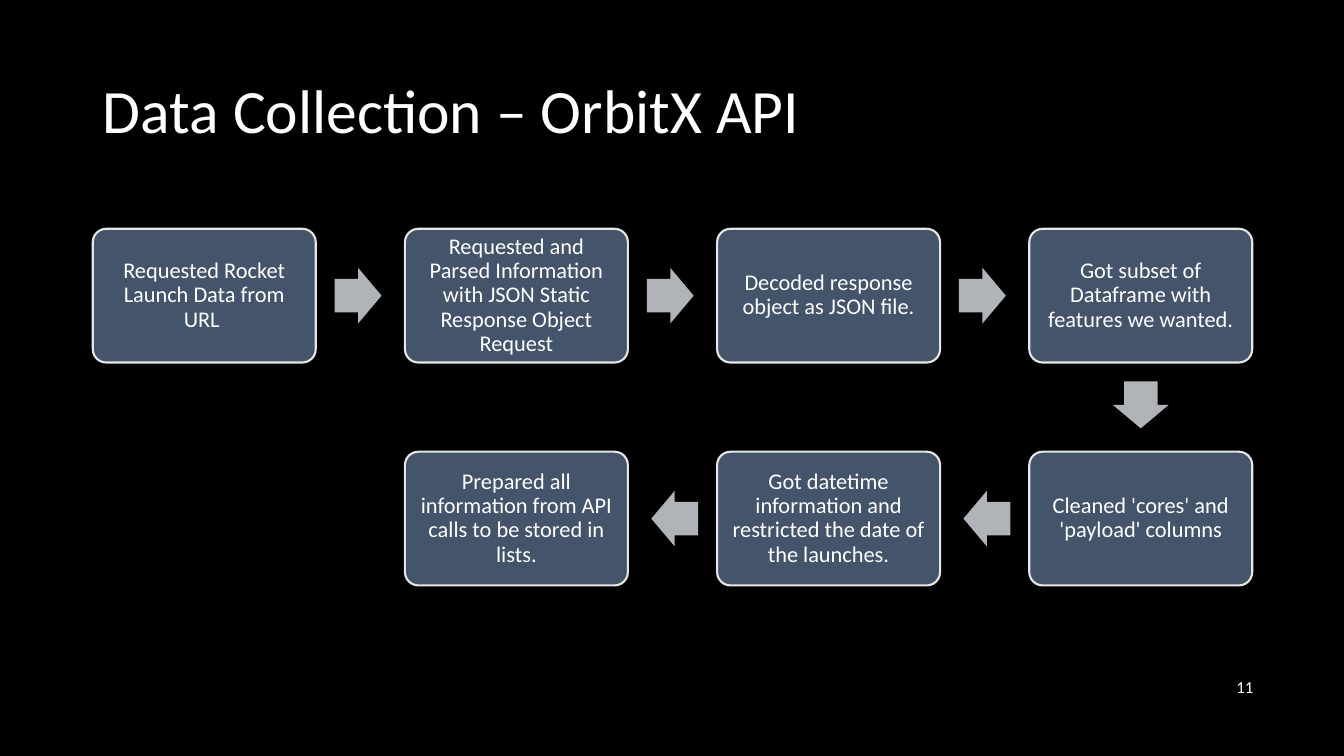
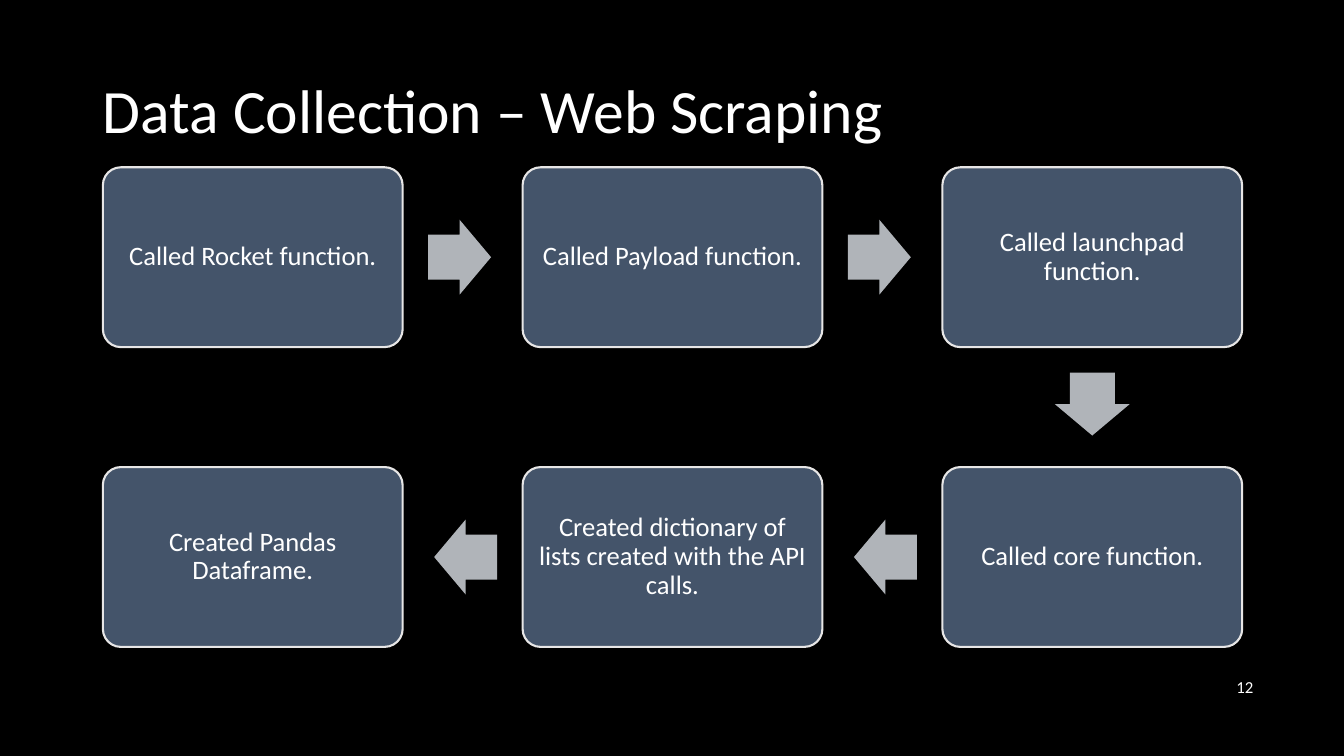
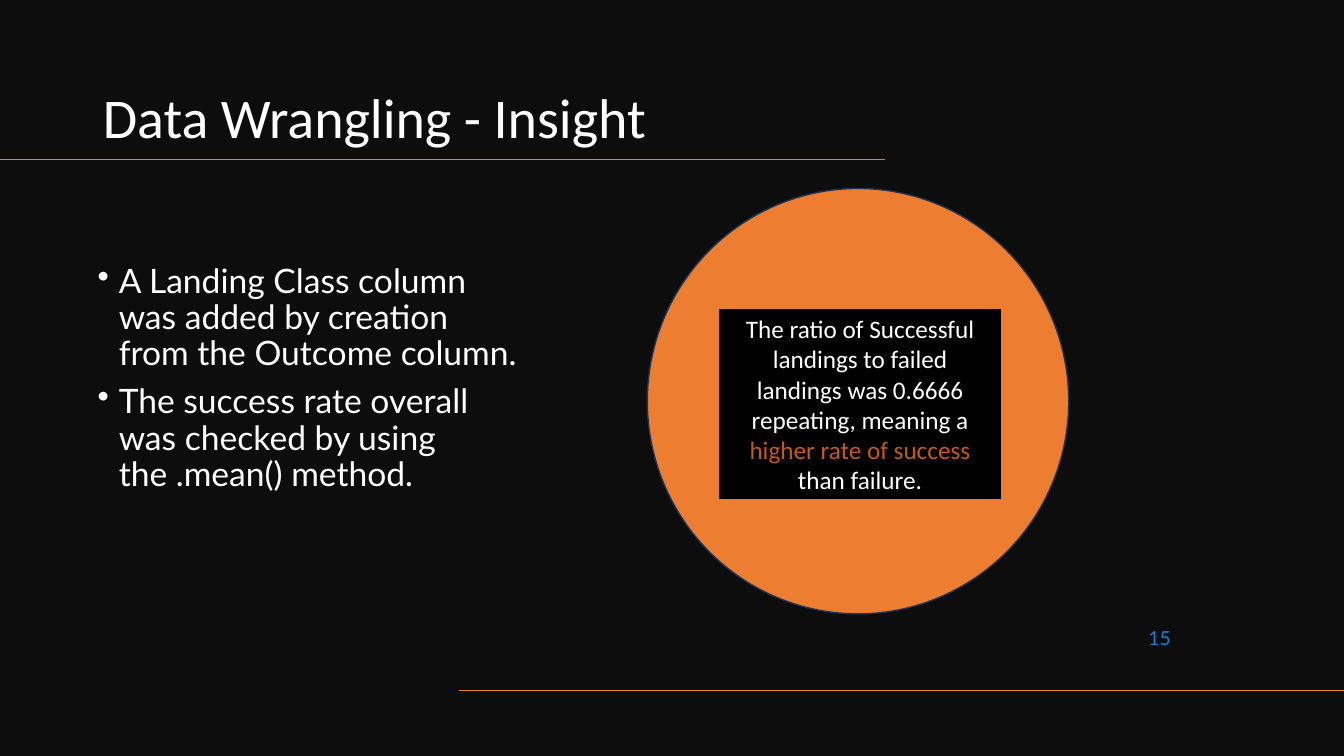
import dataclasses

import lxml.etree
import pptx
import pptx.dml.color
import pptx.enum.shapes
import pptx.enum.text
import pptx.oxml.ns
import pptx.util

Inches = pptx.util.Inches
Pt = pptx.util.Pt
SHAPE = pptx.enum.shapes.MSO_SHAPE
ANCHOR = pptx.enum.text.MSO_ANCHOR
ALIGN = pptx.enum.text.PP_ALIGN


@dataclasses.dataclass(frozen=True)
class Theme:
    black: str = "000000"
    charcoal: str = "0D0D0D"
    white: str = "FFFFFF"
    slate: str = "44546A"
    outline: str = "E7E6E6"
    arrow: str = "B0B4B9"
    orange: str = "ED7D31"
    highlight: str = "C55A11"
    navy: str = "1E3256"
    blue: str = "1C7DDB"
    font: str = "Calibri"
    body_font: str = "Lato"
    title_size: float = 44
    insight_title_size: float = 40
    body_size: float = 24
    callout_size: float = 18
    number_size: float = 12
    insight_number_size: float = 13.8
    line_spacing: float = 0.9


@dataclasses.dataclass(frozen=True)
class Box:
    left: float
    top: float
    width: float
    height: float

    def lengths(self):
        return [Inches(value) for value in dataclasses.astuple(self)]


THEME = Theme()


def rgb(color):
    return pptx.dml.color.RGBColor.from_string(color)


def style_paragraph(paragraph, size, color=THEME.white, font=THEME.font,
                    align=ALIGN.LEFT, spacing=THEME.line_spacing):
    paragraph.alignment = align
    paragraph.line_spacing = spacing
    for run in paragraph.runs:
        run.font.name = font
        run.font.size = Pt(size)
        run.font.color.rgb = rgb(color)


def add_panel(slide, kind, box, fill, line=None, line_width=1):
    shape = slide.shapes.add_shape(kind, *box.lengths())
    shape.shadow.inherit = False
    shape.fill.solid()
    shape.fill.fore_color.rgb = rgb(fill)
    if line:
        shape.line.color.rgb = rgb(line)
        shape.line.width = Pt(line_width)
    else:
        shape.line.fill.background()
    return shape


def add_text_box(slide, box, anchor=ANCHOR.TOP):
    frame = slide.shapes.add_textbox(*box.lengths()).text_frame
    frame.word_wrap = True
    frame.vertical_anchor = anchor
    return frame


def add_rule(slide, left, right, top):
    rule = slide.shapes.add_connector(
        pptx.enum.shapes.MSO_CONNECTOR.STRAIGHT,
        Inches(left), Inches(top), Inches(right), Inches(top))
    rule.line.color.rgb = rgb(THEME.orange)
    rule.line.width = Pt(1)
    lxml.etree.SubElement(rule._element.spPr, pptx.oxml.ns.qn("a:effectLst"))


def add_titled_slide(presentation, background, title, box, size, anchor):
    slide = presentation.slides.add_slide(presentation.slide_layouts[5])
    slide.background.fill.solid()
    slide.background.fill.fore_color.rgb = rgb(background)
    placeholder = slide.shapes.title
    placeholder.left, placeholder.top, placeholder.width, placeholder.height = box.lengths()
    frame = placeholder.text_frame
    frame.text = title
    frame.word_wrap = True
    frame.auto_size = pptx.enum.text.MSO_AUTO_SIZE.NONE
    frame.vertical_anchor = anchor
    style_paragraph(frame.paragraphs[0], size)
    return slide


def add_slide_number(slide, number, box, size, color=THEME.white, font=THEME.font):
    frame = add_text_box(slide, box, ANCHOR.MIDDLE)
    frame.text = str(number)
    style_paragraph(frame.paragraphs[0], size, color, font, ALIGN.RIGHT, 1)


def add_step(slide, box, text, size, margin):
    step = add_panel(slide, SHAPE.ROUNDED_RECTANGLE, box, THEME.slate, THEME.outline, 1.5)
    step.adjustments[0] = 0.1
    frame = step.text_frame
    frame.text = text
    frame.word_wrap = True
    frame.vertical_anchor = ANCHOR.MIDDLE
    frame.margin_left = frame.margin_right = Inches(margin)
    frame.margin_top = frame.margin_bottom = Inches(margin)
    style_paragraph(frame.paragraphs[0], size, align=ALIGN.CENTER)


def add_step_arrow(slide, step, column_change):
    length, breadth = 0.21 * step.width, 0.25 * step.width
    reach = 0.19 * step.width
    center_x = step.left + step.width / 2 + column_change * (step.width / 2 + reach)
    center_y = step.top + step.height / 2
    if column_change == 0:
        center_y += step.height / 2 + reach
    box = Box(center_x - length / 2, center_y - breadth / 2, length, breadth)
    arrow = add_panel(slide, SHAPE.RIGHT_ARROW, box, THEME.arrow)
    arrow.adjustments[0] = 0.6
    arrow.adjustments[1] = 0.5
    arrow.rotation = 90 * (1 - column_change)


def add_snake_flow(slide, left, top, width, columns, steps, size, margin):
    step_width = width / (1.4 * columns - 0.4)
    cells = []
    for index in range(len(steps)):
        row, position = divmod(index, columns)
        cells.append((row, columns - 1 - position if row % 2 else position))
    for index, (row, column) in enumerate(cells):
        box = Box(left + 1.4 * step_width * column, top + step_width * row,
                  step_width, 0.6 * step_width)
        add_step(slide, box, steps[index], size, margin)
        if index + 1 < len(cells):
            add_step_arrow(slide, box, cells[index + 1][1] - column)


def add_flow_slide(presentation, title, number, **flow):
    slide = add_titled_slide(presentation, THEME.black, title, Box(0.92, 0.4, 11.5, 1.45),
                             THEME.title_size, ANCHOR.MIDDLE)
    add_slide_number(slide, number, Box(9.53, 6.59, 3, 0.44), THEME.number_size)
    add_snake_flow(slide, **flow)


def add_bullets(slide, box, texts):
    frame = add_text_box(slide, box)
    for index, text in enumerate(texts):
        paragraph = frame.add_paragraph() if index else frame.paragraphs[0]
        paragraph.text = text
        properties = paragraph._p.get_or_add_pPr()
        properties.set("marL", str(Inches(0.21)))
        properties.set("indent", str(-Inches(0.21)))
        bullet = lxml.etree.SubElement(properties, pptx.oxml.ns.qn("a:buChar"))
        bullet.set("char", "•")
        style_paragraph(paragraph, THEME.body_size, font=THEME.body_font)
        if index:
            paragraph.space_before = Pt(8.6)


def add_callout(slide, box, parts):
    add_panel(slide, SHAPE.FLOWCHART_CONNECTOR, box, THEME.orange, THEME.navy)
    label_box = Box(box.left + 0.7, box.top + 1.18, 2.82, 1.92)
    label = add_panel(slide, SHAPE.RECTANGLE, label_box, THEME.black, THEME.orange, 2.25)
    label.text_frame.word_wrap = True
    paragraph = label.text_frame.paragraphs[0]
    for text, color in parts:
        paragraph.add_run().text = text
    style_paragraph(paragraph, THEME.callout_size, align=ALIGN.CENTER, spacing=1)
    for run, (text, color) in zip(paragraph.runs, parts):
        run.font.color.rgb = rgb(color)


def add_insight_slide(presentation, title, number, bullets, callout):
    slide = add_titled_slide(presentation, THEME.charcoal, title, Box(0.92, 0.42, 7.86, 1.12),
                             THEME.insight_title_size, ANCHOR.BOTTOM)
    add_rule(slide, 0, 8.78, 1.58)
    add_rule(slide, 4.55, 13.33, 6.85)
    add_slide_number(slide, number, Box(9.12, 6.14, 2.59, 0.38),
                     THEME.insight_number_size, THEME.blue, THEME.body_font)
    add_bullets(slide, Box(0.87, 2.57, 4.42, 2.82), bullets)
    add_callout(slide, Box(6.42, 1.87, 4.18, 4.22), callout)


def main():
    presentation = pptx.Presentation()
    presentation.slide_width = Inches(13.33)
    presentation.slide_height = Inches(7.5)
    add_flow_slide(
        presentation, "Data Collection – OrbitX API", 11,
        left=0.92, top=2.27, width=11.5, columns=4, size=16, margin=0.07,
        steps=[
            "Requested Rocket Launch Data from URL ",
            "Requested and Parsed Information with JSON Static Response Object Request",
            "Decoded response object as JSON file.",
            "Got subset of Dataframe with features we wanted.",
            "Cleaned 'cores' and 'payload' columns",
            "Got datetime information and restricted the date of the launches.",
            "Prepared all information from API calls to be stored in lists.",
        ])
    add_flow_slide(
        presentation, "Data Collection – Web Scraping", 12,
        left=1.02, top=1.66, width=11.3, columns=3, size=19, margin=0.08,
        steps=[
            "Called Rocket function.",
            "Called Payload function.",
            "Called launchpad function.",
            "Called core function.",
            "Created dictionary of lists created with the API calls.",
            "Created Pandas Dataframe.",
        ])
    add_insight_slide(
        presentation, "Data Wrangling - Insight", 15,
        bullets=[
            "A Landing Class column was added by creation from the Outcome column.",
            "The success rate overall was checked by using the .mean() method.",
        ],
        callout=[
            ("The ratio of Successful landings to failed landings was 0.6666 repeating, meaning a ",
             THEME.white),
            ("higher rate of success", THEME.highlight),
            (" than failure.", THEME.white),
        ])
    presentation.save("out.pptx")


if __name__ == "__main__":
    main()
